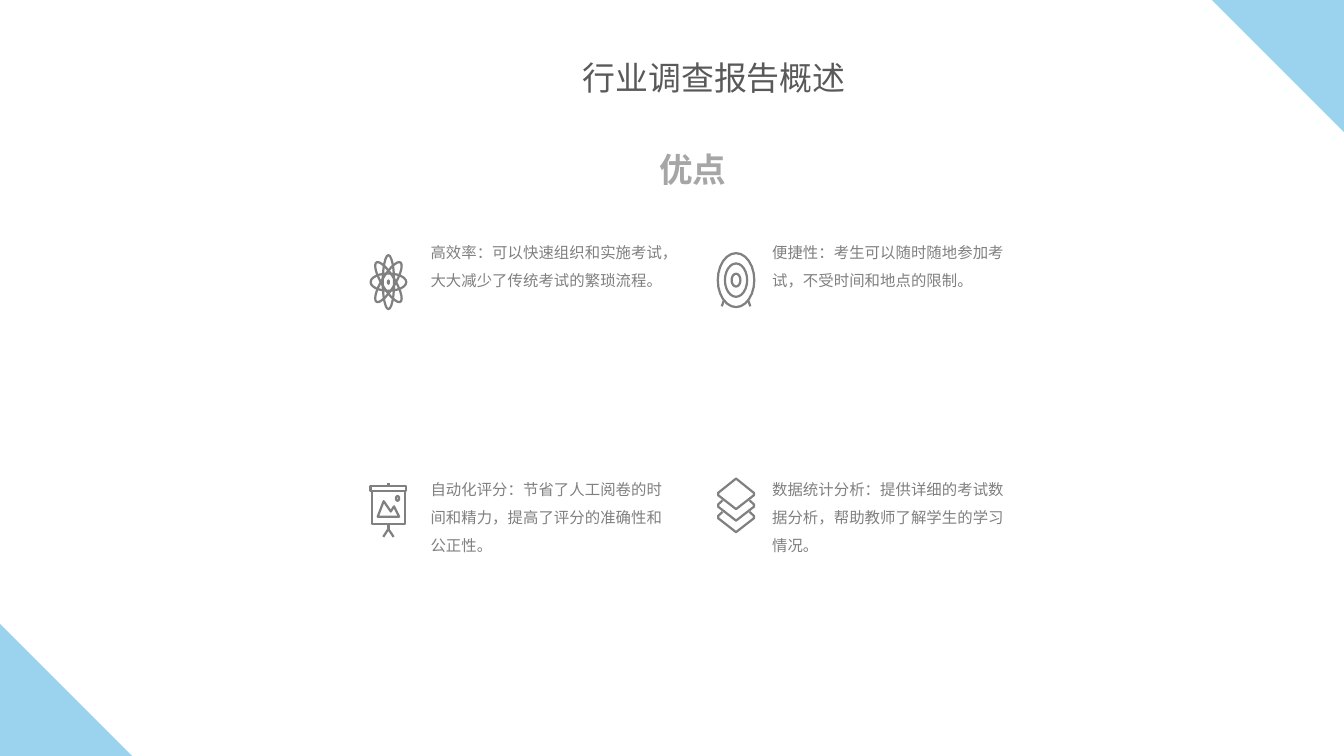
from math import cos, pi, sin

from lxml.etree import SubElement as Sub
from pptx import Presentation
from pptx.dml.color import RGBColor
from pptx.enum.shapes import MSO_SHAPE as Form
from pptx.oxml.ns import qn
from pptx.util import Cm, Pt

BLUE = RGBColor(0x9B, 0xD3, 0xEF)
DARK = RGBColor(0x59, 0x59, 0x59)
GRAY = RGBColor(0x80, 0x80, 0x80)
PALE = RGBColor(0xA6, 0xA6, 0xA6)
FONT = "Noto Sans CJK SC"
WIDE, HIGH, SIDE = 33.87, 19.05, 3.33
PEN = Pt(1.6)


def write(slide, text, box, size=11, color=GRAY, bold=False, space=Pt(20), inset=(0.25, 0.13)):
    """Add a wrapped text box; box is left, top, width, height in cm."""
    frame = slide.shapes.add_textbox(*map(Cm, box)).text_frame
    frame.word_wrap = True
    frame.margin_left = frame.margin_right = Cm(inset[0])
    frame.margin_top = frame.margin_bottom = Cm(inset[1])
    para = frame.paragraphs[0]
    para.line_spacing = space
    run = para.add_run()
    run.text = text
    font = run.font
    font.size, font.bold, font.name = Pt(size), bold, FONT
    font.color.rgb = color
    Sub(font._element, qn("a:ea"), typeface=FONT)


def corner(slide, left, top, turn=0):
    """Add a blue right triangle for one corner of the slide."""
    shape = slide.shapes.add_shape(Form.RIGHT_TRIANGLE, Cm(left), Cm(top), Cm(SIDE), Cm(SIDE))
    shape.rotation = turn
    shape.shadow.inherit = False
    shape.fill.solid()
    shape.fill.fore_color.rgb = BLUE
    shape.line.fill.background()


def trace(slide, mid, parts):
    """Add one gray icon; each part is its dots around mid and whether it closes."""
    path = None
    for dots, close in parts:
        ends = [(Cm(mid[0] + x), Cm(mid[1] + y)) for x, y in dots]
        if path is None:
            path = slide.shapes.build_freeform(*ends[0])
        else:
            path.move_to(*ends[0])
        path.add_line_segments(ends[1:], close=close)
    shape = path.convert_to_shape()
    shape.shadow.inherit = False
    shape.fill.background()
    shape.line.color.rgb = GRAY
    shape.line.width = PEN


def ring(wide, high, x=0, y=0, steps=24):
    """Return a closed oval from its half width, half height and centre."""
    arcs = [2 * pi * step / steps for step in range(steps)]
    return [(x + wide * cos(arc), y + high * sin(arc)) for arc in arcs], True


def rect(half, top, base):
    """Return a closed rectangle centred across the icon."""
    return [(-half, top), (half, top), (half, base), (-half, base)], True


def atom():
    """Return four crossing orbits around a core."""
    parts = [ring(0.01, 0.04, steps=8)]
    for turn in (0, pi / 4, pi / 2, 3 * pi / 4):
        dots, close = ring(1, 0.32)
        parts.append(([(0.45 * (x * cos(turn) - y * sin(turn)),
                        0.68 * (x * sin(turn) + y * cos(turn))) for x, y in dots], close))
    return parts


def target():
    """Return three rings on two feet."""
    rings = [ring(0.46, 0.68), ring(0.28, 0.42), ring(0.11, 0.16)]
    feet = [([(side * 0.31, 0.52), (side * 0.36, 0.66)], False) for side in (-1, 1)]
    return rings + feet


def board():
    """Return a board with hills and a sun on a stand."""
    hills = [(-0.27, 0.17), (-0.12, -0.22), (0.06, 0.04), (0.14, -0.09), (0.27, 0.17)]
    return [
        rect(0.45, -0.6, -0.47),
        rect(0.42, -0.47, 0.35),
        (hills, True),
        ring(0.04, 0.06, 0.23, -0.29, steps=12),
        ([(0, -0.68), (0, -0.6)], False),
        ([(0, 0.35), (0, 0.48)], False),
        ([(-0.13, 0.68), (0, 0.48), (0.13, 0.68)], False),
    ]


def layers():
    """Return a diamond with two sheets below it."""
    top = [(-0.45, -0.31), (0, -0.67), (0.45, -0.31), (0.45, -0.25), (0, 0.1), (-0.45, -0.25)]
    sheet = [(-0.34, -0.12), (-0.45, -0.02), (-0.45, 0.04), (0, 0.39),
             (0.45, 0.04), (0.45, -0.02), (0.34, -0.12)]
    return [(top, True)] + [([(x, y + drop) for x, y in sheet], False) for drop in (0, 0.29)]


def main():
    """Build the slide and save it."""
    deck = Presentation()
    deck.slide_width, deck.slide_height = Cm(WIDE), Cm(HIGH)
    slide = deck.slides.add_slide(deck.slide_layouts[6])
    corner(slide, 0, HIGH - SIDE)
    corner(slide, WIDE - SIDE, 0, turn=180)
    write(slide, "行业调查报告概述", (14.43, 1.52, 7.19, 1.45), size=23.5, color=DARK, space=0.8)
    write(slide, "优点", (16.31, 3.82, 3.94, 1.5), size=24, color=PALE, bold=True,
          space=0.77, inset=(0.3, 0.15))
    items = [
        (atom, (9.79, 7.11), "高效率：可以快速组织和实施考试，大大减少了传统考试的繁琐流程。"),
        (target, (18.55, 7.06), "便捷性：考生可以随时随地参加考试，不受时间和地点的限制。"),
        (board, (9.79, 12.85), "自动化评分：节省了人工阅卷的时间和精力，提高了评分的准确性和公正性。"),
        (layers, (18.55, 12.73), "数据统计分析：提供详细的考试数据分析，帮助教师了解学生的学习情况。"),
    ]
    for place, (icon, mid, text) in enumerate(items):
        row, col = divmod(place, 2)
        trace(slide, mid, icon())
        write(slide, text, (10.6 + col * 8.61, 5.76 + row * 5.98, 6.4, 2.39))
    deck.save("out.pptx")


if __name__ == "__main__":
    main()
